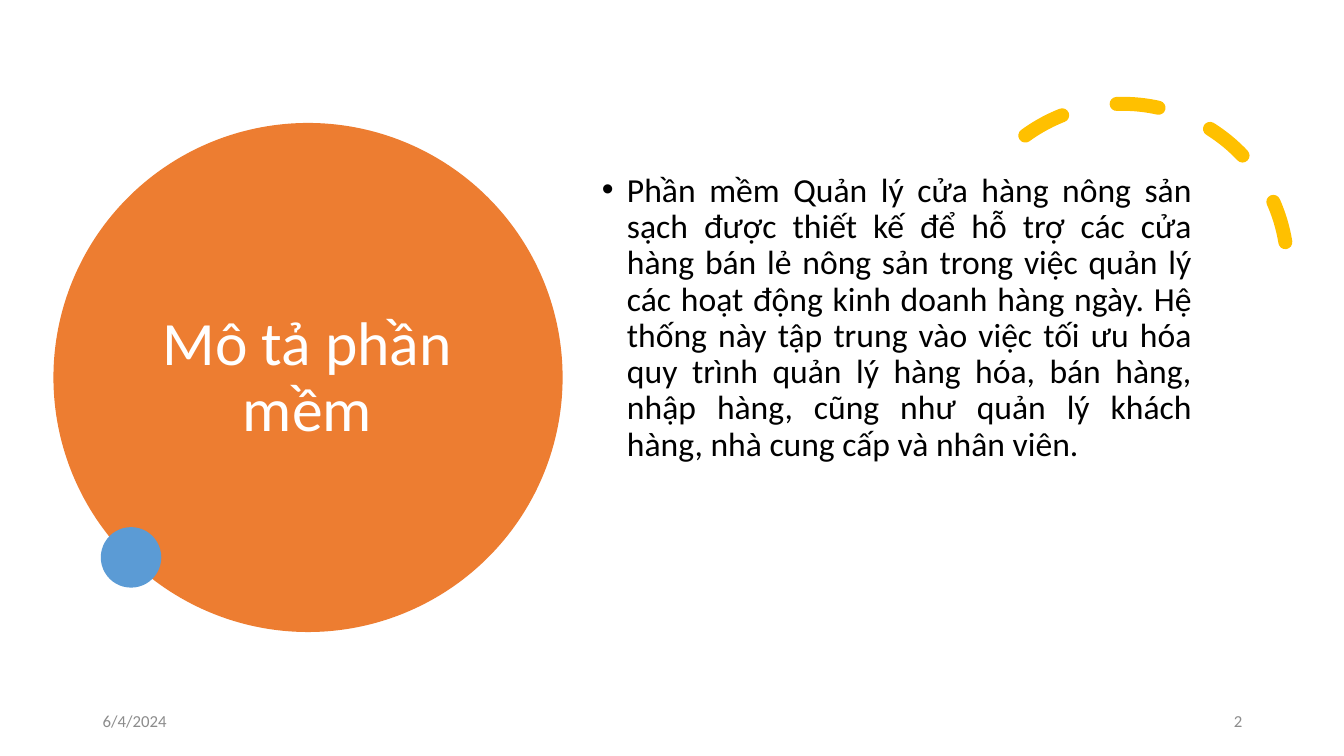
import pptx
import pptx.util
import pptx.dml.color
import pptx.enum.dml
import pptx.enum.shapes
import pptx.enum.text
import pptx.oxml
import pptx.oxml.ns

PX = 9144  # EMU per px, 100 px to the inch
SIZE = (1333, 750)
FONT = "Calibri"
GREY = "8C8C8C"
ALIGN = pptx.enum.text.PP_ALIGN
ANCHOR = pptx.enum.text.MSO_ANCHOR
KIND = pptx.enum.shapes.MSO_SHAPE

TITLE = ("Mô tả phần mềm", (128, 153, 354, 445), 44, "FFFFFF", ALIGN.CENTER, ANCHOR.MIDDLE)
BODY = (
    "Phần mềm Quản lý cửa hàng nông sản sạch được thiết kế để hỗ trợ các cửa hàng "
    "bán lẻ nông sản trong việc quản lý các hoạt động kinh doanh hàng ngày. Hệ thống "
    "này tập trung vào việc tối ưu hóa quy trình quản lý hàng hóa, bán hàng, nhập "
    "hàng, cũng như quản lý khách hàng, nhà cung cấp và nhân viên.",
    (587, 167, 605, 430), 24, "000000", ALIGN.JUSTIFY, ANCHOR.TOP)
FOOT = [
    ("6/4/2024", (92, 695, 300, 40), 12, GREY, ALIGN.LEFT, ANCHOR.MIDDLE),
    ("2", (942, 695, 300, 40), 12, GREY, ALIGN.RIGHT, ANCHOR.MIDDLE),
]
DISC = ((53, 122, 505, 505), "ED7D31")
DOT = ((100, 523, 60, 60), "5B9BD5")
ARC = ((950, 103, 327, 327), "FFC000")
TURN = 330.2
ENDS = (158.17, 17.81)
INDENT = 25


def color(code):
    return pptx.dml.color.RGBColor.from_string(code)


def scale(box):
    return [n * PX for n in box]


def write(shape, item):
    """Place a text shape and fill it with one formatted paragraph."""
    text, box, size, code, align, anchor = item
    shape.left, shape.top, shape.width, shape.height = scale(box)
    frame = shape.text_frame
    frame.text = text
    frame.word_wrap = True
    frame.auto_size = pptx.enum.text.MSO_AUTO_SIZE.NONE
    frame.vertical_anchor = anchor
    para = frame.paragraphs[0]
    para.alignment = align
    font = para.runs[0].font
    font.name, font.size = FONT, pptx.util.Pt(size)
    font.color.rgb = color(code)
    return para


def add_text(shapes, item):
    return write(shapes.add_textbox(*scale(item[1])), item)


def add_disc(shapes, box, code):
    disc = shapes.add_shape(KIND.OVAL, *scale(box))
    disc.shadow.inherit = False
    disc.fill.solid()
    disc.fill.fore_color.rgb = color(code)
    disc.line.fill.background()
    return disc


def add_arc(shapes, box, code):
    arc = shapes.add_shape(KIND.ARC, *scale(box))
    arc.shadow.inherit = False
    arc.rotation = TURN
    for i, end in enumerate(ENDS):
        arc.adjustments[i] = end
    arc.fill.background()
    arc.line.color.rgb = color(code)
    arc.line.width = pptx.util.Pt(10)
    arc.line.dash_style = pptx.enum.dml.MSO_LINE.DASH
    arc.line._get_or_add_ln().set("cap", "rnd")


def add_bullet(para):
    props = para._p.get_or_add_pPr()
    props.set("marL", str(INDENT * PX))
    props.set("indent", str(-INDENT * PX))
    space = pptx.oxml.ns.nsdecls("a")
    props.append(pptx.oxml.parse_xml(f'<a:buFont {space} typeface="Arial"/>'))
    props.append(pptx.oxml.parse_xml(f'<a:buChar {space} char="•"/>'))


def main():
    deck = pptx.Presentation()
    deck.slide_width, deck.slide_height = scale(SIZE)
    slide = deck.slides.add_slide(deck.slide_layouts[5])
    shapes = slide.shapes
    title = shapes.title

    disc = add_disc(shapes, *DISC)
    title._element.addprevious(disc._element)
    write(title, TITLE).line_spacing = 0.9
    add_arc(shapes, *ARC)
    add_disc(shapes, *DOT)

    para = add_text(shapes, BODY)
    para.line_spacing = 0.9
    para.space_before = pptx.util.Pt(10)
    add_bullet(para)
    for item in FOOT:
        add_text(shapes, item).space_after = pptx.util.Pt(6)
    deck.save("out.pptx")


if __name__ == "__main__":
    main()
